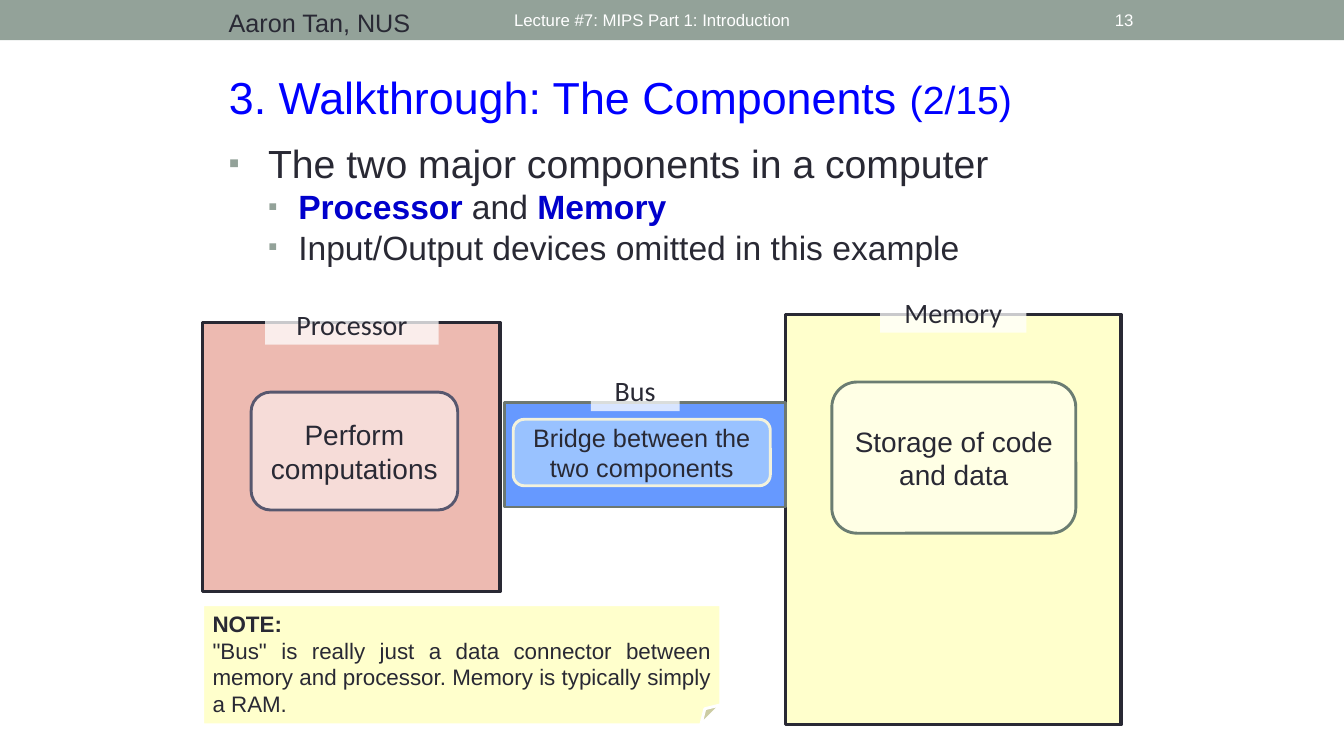
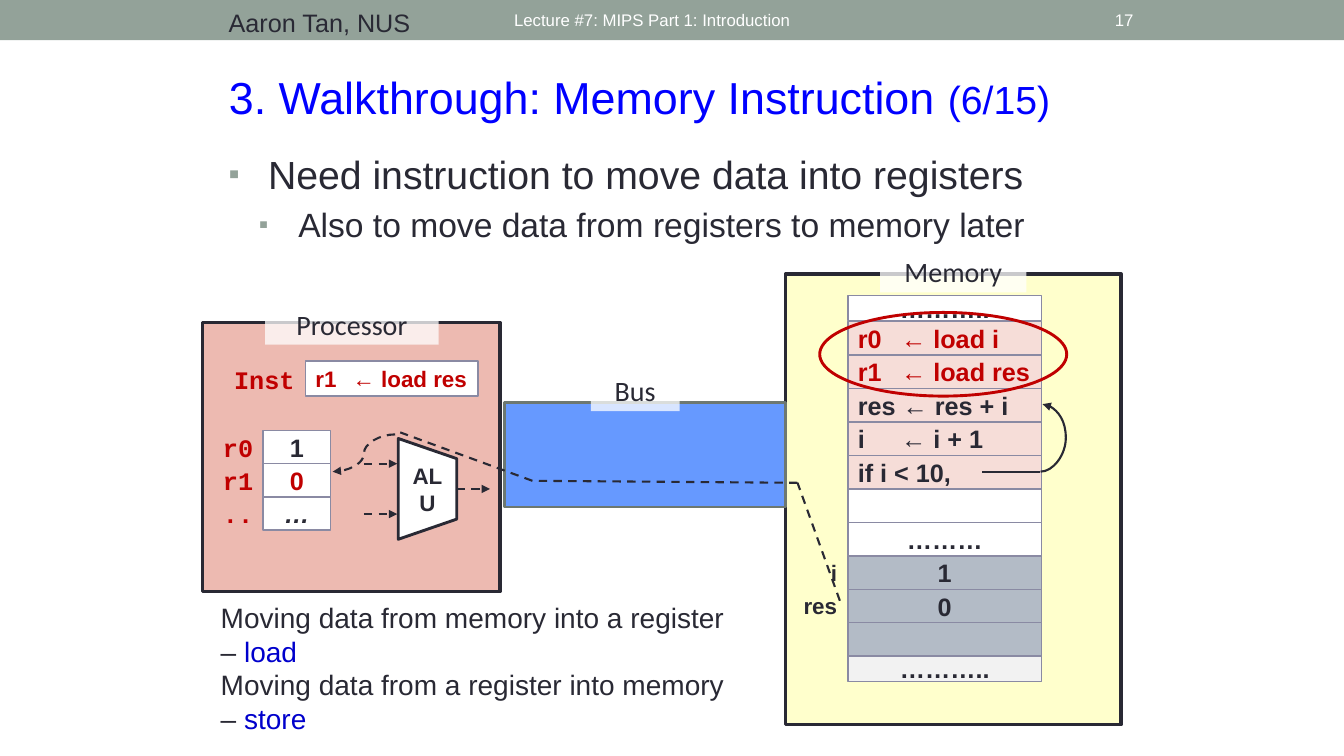
from itertools import pairwise

from lxml import etree
from pptx import Presentation
from pptx import util as u
from pptx.dml.color import RGBColor
from pptx.enum import dml, shapes, text
from pptx.oxml.ns import qn

COLORS = {
    "band": "93A299", "white": "FFFFFF", "ink": "292934", "title": "0000FF",
    "key": "0000CC", "red": "C00000", "processor": "EDBAB1", "memory": "FFFFCC",
    "bus": "6699FF", "bus_line": "6D7871", "bridge": "CCECFF", "bridge_line": "F3F2DC",
    "storage_line": "6B7D72", "compute_line": "57576E", "cell_line": "8A8AA3",
    "code": "F6DDD8", "data": "B3BBC6", "rest": "F2F2F2",
}
KINDS = shapes.MSO_SHAPE
ALIGN = {"left": text.PP_ALIGN.LEFT, "center": text.PP_ALIGN.CENTER,
         "right": text.PP_ALIGN.RIGHT, "justify": text.PP_ALIGN.JUSTIFY}
ANCHOR = {"top": text.MSO_ANCHOR.TOP, "middle": text.MSO_ANCHOR.MIDDLE}
KEY = {"color": "key"}
KEY_BOLD = {"color": "key", "bold": True}

LECTURE = "Lecture #7: MIPS Part 1: Introduction"
AUTHOR = "Aaron Tan, NUS"

COMPONENTS = {
    "title": "3. Walkthrough: The Components ", "part": "(2/15)", "number": "13",
    "top": 1.33, "hanging": 0.3, "space": 0,
    "bullets": [
        ["The two major components in a computer"],
        [("Processor", KEY_BOLD), " and ", ("Memory", KEY_BOLD)],
        ["Input/Output devices omitted in this example"],
    ],
}
INSTRUCTION = {
    "title": "3. Walkthrough: Memory Instruction ", "part": "(6/15)", "number": "17",
    "top": 1.44, "hanging": 0.39, "space": 4.8,
    "bullets": [
        ["Need instruction to move data into registers"],
        ["Also to move data from registers to memory later"],
    ],
}

UNITS = {
    "Processor": ((2.01, 3.2, 2.95, 2.67), "processor", "ink", 2.5, (2.63, 3.07, 1.72, 0.35)),
    "Memory": ((7.79, 3.12, 3.33, 4.07), "memory", "ink", 2.5, (8.73, 2.95, 1.45, 0.35)),
    "Bus": ((5, 3.99, 2.79, 1.04), "bus", "bus_line", 2.08, (5.86, 3.73, 0.88, 0.35)),
}
ROLES = [
    ("Storage of code and data", (8.25, 3.79, 2.42, 1.5), "white", "storage_line", 20),
    ("Bridge between the two components", (5.09, 4.16, 2.55, 0.66), "bridge", "bridge_line", 18),
    ("Perform computations", (2.49, 3.89, 2.05, 1.17), "white", "compute_line", 20),
]
NOTE = [
    [("NOTE:", {"bold": True})],
    ['"Bus" is really just a data connector between memory and processor. '
     "Memory is typically simply a RAM."],
]

MEMORY_ROWS = [
    ("r0\t← load i", "code", "red", "left"),
    ("r1\t← load res", "code", "red", "left"),
    ("res ← res + i", "code", "ink", "left"),
    ("i\t← i + 1", "code", "ink", "left"),
    ("if i < 10,", "code", "ink", "left"),
    ("", "white", "ink", "center"),
    ("………", "white", "ink", "center"),
    ("1", "data", "ink", "center"),
    ("0", "data", "ink", "center"),
    ("", "data", "ink", "center"),
]
VARIABLES = {"i": 7, "res": 8}
MEMORY_ENDS = [("………..", 2.93, "white"), ("………..", 6.51, "rest")]
REGISTERS = [("r0", "1", "ink", False), ("r1", "0", "red", False), ("..", "…", "ink", True)]
ALU_ARROWS = [(3.61, 4.6), (3.61, 5.1), (4.53, 4.85)]
DATA_PATH = [(8.33, 5.96), (7.91, 4.79), (5.28, 4.77), (3.97, 4.29)]
MOVES = [
    ["Moving data from memory into a register – ", ("load", KEY)],
    ["Moving data from a register into memory – ", ("store", KEY)],
]


def rgb(name):
    return RGBColor.from_string(COLORS[name])


def inches(values):
    return [u.Inches(value) for value in values]


def write(shape, paragraphs, size=18, color="ink", bold=False, italic=False,
          font="Arial", align="left", anchor="middle"):
    frame = shape.text_frame
    frame.word_wrap = True
    frame.vertical_anchor = ANCHOR[anchor]
    for index, runs in enumerate(paragraphs):
        paragraph = frame.add_paragraph() if index else frame.paragraphs[0]
        paragraph.alignment = ALIGN[align]
        for item in runs:
            words, change = (item, {}) if isinstance(item, str) else item
            run = paragraph.add_run()
            run.text = words
            run.font.name = font
            run.font.size = u.Pt(change.get("size", size))
            run.font.bold = change.get("bold", bold)
            run.font.italic = italic
            run.font.color.rgb = rgb(change.get("color", color))
    return frame


def add_text(slide, box, paragraphs, **style):
    return write(slide.shapes.add_textbox(*inches(box)), paragraphs, **style)


def add_box(slide, box, fill=None, line=None, width=2.08, kind=KINDS.RECTANGLE, alpha=None):
    shape = slide.shapes.add_shape(kind, *inches(box))
    shape.shadow.inherit = False
    if fill:
        shape.fill.solid()
        shape.fill.fore_color.rgb = rgb(fill)
    else:
        shape.fill.background()
    if line:
        shape.line.color.rgb = rgb(line)
        shape.line.width = u.Pt(width)
    else:
        shape.line.fill.background()
    if alpha:
        color = shape.element.spPr.find(qn("a:solidFill"))[0]
        etree.SubElement(color, qn("a:alpha"), val=str(alpha * 1000))
    return shape


def add_cell(slide, box, words, fill="white", **style):
    cell = add_box(slide, box, fill, "cell_line", 1)
    if words:
        write(cell, [[words]], bold=True, **style)
    return cell


def set_tab(cell, position):
    properties = cell.text_frame.paragraphs[0]._p.get_or_add_pPr()
    tabs = etree.SubElement(properties, qn("a:tabLst"))
    etree.SubElement(tabs, qn("a:tab"), pos=str(u.Inches(position)), algn="l")


def add_line(slide, start, end, dashed=False, arrow=False, bend=None):
    kind = shapes.MSO_CONNECTOR.STRAIGHT if bend is None else shapes.MSO_CONNECTOR.CURVE
    line = slide.shapes.add_connector(kind, *inches(start + end))
    line.line.color.rgb = rgb("ink")
    line.line.width = u.Pt(1.5)
    if dashed:
        line.line.dash_style = dml.MSO_LINE.DASH
    properties = line.element.spPr
    if arrow:
        etree.SubElement(properties.find(qn("a:ln")), qn("a:tailEnd"), type="triangle")
    etree.SubElement(properties, qn("a:effectLst"))
    if bend is not None:
        geometry = properties.find(qn("a:prstGeom"))
        guides = geometry.find(qn("a:avLst"))
        if guides is None:
            guides = etree.SubElement(geometry, qn("a:avLst"))
        etree.SubElement(guides, qn("a:gd"), name="adj1", fmla=f"val {round(bend * 100000)}")


def add_bullets(slide, content):
    frame = add_text(slide, (2.17, content["top"], 9, 1.58), content["bullets"],
                     size=24, anchor="top")
    for index, paragraph in enumerate(frame.paragraphs):
        paragraph.level = min(index, 1)
        margin, hanging = (0.69, content["hanging"]) if index else (0.39, 0.39)
        if index:
            paragraph.space_before = u.Pt(content["space"])
        else:
            paragraph.runs[0].font.size = u.Pt(28)
        properties = paragraph._p.get_or_add_pPr()
        properties.set("marL", str(u.Inches(margin)))
        properties.set("indent", str(-u.Inches(hanging)))
        color = etree.SubElement(properties, qn("a:buClr"))
        etree.SubElement(color, qn("a:srgbClr"), val=COLORS["band"])
        etree.SubElement(properties, qn("a:buSzPct"), val="80000")
        etree.SubElement(properties, qn("a:buFont"), typeface="Arial")
        etree.SubElement(properties, qn("a:buChar"), char="▪")


def add_unit(slide, name, rise=0):
    (left, top, width, height), fill, line, weight, label_box = UNITS[name]
    add_box(slide, (left, top - rise, width, height + rise), fill, line, weight)
    label_left, label_top, label_width, label_height = label_box
    label = add_box(slide, (label_left, label_top - rise, label_width, label_height),
                    "white", alpha=75)
    frame = write(label, [[name]], size=20, font="Calibri", align="center", anchor="top")
    frame.margin_left = frame.margin_right = u.Inches(0.07)
    frame.margin_top = frame.margin_bottom = u.Inches(0.03)
    frame.paragraphs[0].line_spacing = 0.85


def add_slide(presentation, layout, content):
    slide = presentation.slides.add_slide(layout)
    title = slide.shapes.title
    title.left, title.top, title.width, title.height = inches((2.17, 0.64, 9.17, 0.64))
    frame = write(title, [[content["title"], (content["part"], {"size": 28})]],
                  size=32, color="title", anchor="top")
    frame.auto_size = text.MSO_AUTO_SIZE.NONE
    add_text(slide, (5, 0.02, 6, 0.36), [[LECTURE]], size=12, color="white")
    add_text(slide, (2.17, 0.02, 3.17, 0.36), [[AUTHOR]], anchor="top")
    add_text(slide, (10.39, 0.02, 0.95, 0.36), [[content["number"]]],
             size=12, color="white", align="right")
    add_bullets(slide, content)
    return slide


def add_band(slide, layout):
    band = add_box(slide, (0, 0, 13.33, 0.4), "band")
    layout.shapes.element.append(band.element)


def draw_components(slide):
    for name in UNITS:
        add_unit(slide, name)
    for words, box, fill, line, size in ROLES:
        role = add_box(slide, box, fill, line, kind=KINDS.ROUNDED_RECTANGLE, alpha=50)
        write(role, [[words]], size=size, align="center")
    note = add_box(slide, (2.01, 6, 5.14, 1.19), "memory", "white", kind=KINDS.FOLDED_CORNER)
    frame = write(note, NOTE, size=16, align="justify", anchor="top")
    frame.paragraphs[0].alignment = ALIGN["left"]


def draw_memory(slide):
    left, top, width, pitch = 8.41, 3.19, 1.92, 0.332
    for words, end_top, fill in MEMORY_ENDS:
        add_cell(slide, (left, end_top, width, 0.25), words, fill, align="center")
    for index, (words, fill, color, align) in enumerate(MEMORY_ROWS):
        cell = add_cell(slide, (left, top + index * pitch, width, pitch), words, fill,
                        color=color, align=align)
        if "\t" in words:
            set_tab(cell, 0.43)
    for name, row in VARIABLES.items():
        add_text(slide, (7.82, top + row * pitch, 0.58, pitch), [[name]],
                 size=16, bold=True, align="right")
    add_line(slide, (9.74, 4.68), (10.32, 4.68))
    add_line(slide, (10.32, 4.68), (10.34, 4.01), arrow=True, bend=12.5)
    add_box(slide, (8.13, 3.1, 2.45, 0.83), line="red", kind=KINDS.OVAL)


def draw_processor(slide):
    label = {"color": "red", "bold": True, "font": "Courier New", "align": "right"}
    add_text(slide, (2.19, 3.6, 0.83, 0.33), [["Inst"]], **label)
    current = add_cell(slide, (3.03, 3.58, 1.71, 0.35), "r1\t← load res", size=16, color="red")
    set_tab(current, 0.37)
    for index, (name, value, color, italic) in enumerate(REGISTERS):
        top = 4.27 + index * 0.33
        add_text(slide, (2.11, top, 0.5, 0.33), [[name]], **label)
        add_cell(slide, (2.61, top, 0.67, 0.33), value, color=color, italic=italic, align="center")
    alu = add_box(slide, (3.74, 4.56, 1, 0.58), "white", "ink",
                  kind=KINDS.FLOWCHART_MANUAL_OPERATION)
    alu.rotation = 270
    frame = write(alu, [["ALU"]], size=16, bold=True, align="center")
    frame._txBody.bodyPr.set("vert", "vert")
    for left, top in ALU_ARROWS:
        add_line(slide, (left, top), (left + 0.33, top), dashed=True, arrow=True)


def draw_instruction(slide):
    add_unit(slide, "Processor")
    add_unit(slide, "Memory", rise=0.4)
    add_unit(slide, "Bus")
    draw_memory(slide)
    draw_processor(slide)
    add_text(slide, (2.09, 5.91, 5.39, 1.45), MOVES, size=20, anchor="top")
    for start, end in pairwise(DATA_PATH):
        add_line(slide, start, end, dashed=True)
    add_line(slide, (3.92, 4.31), (3.3, 4.68), dashed=True, arrow=True, bend=0.5)


def main():
    presentation = Presentation()
    presentation.slide_width, presentation.slide_height = inches((13.33, 7.5))
    layout = presentation.slide_layouts[5]
    components = add_slide(presentation, layout, COMPONENTS)
    add_band(components, layout)
    draw_components(components)
    draw_instruction(add_slide(presentation, layout, INSTRUCTION))
    presentation.save("out.pptx")


if __name__ == "__main__":
    main()
